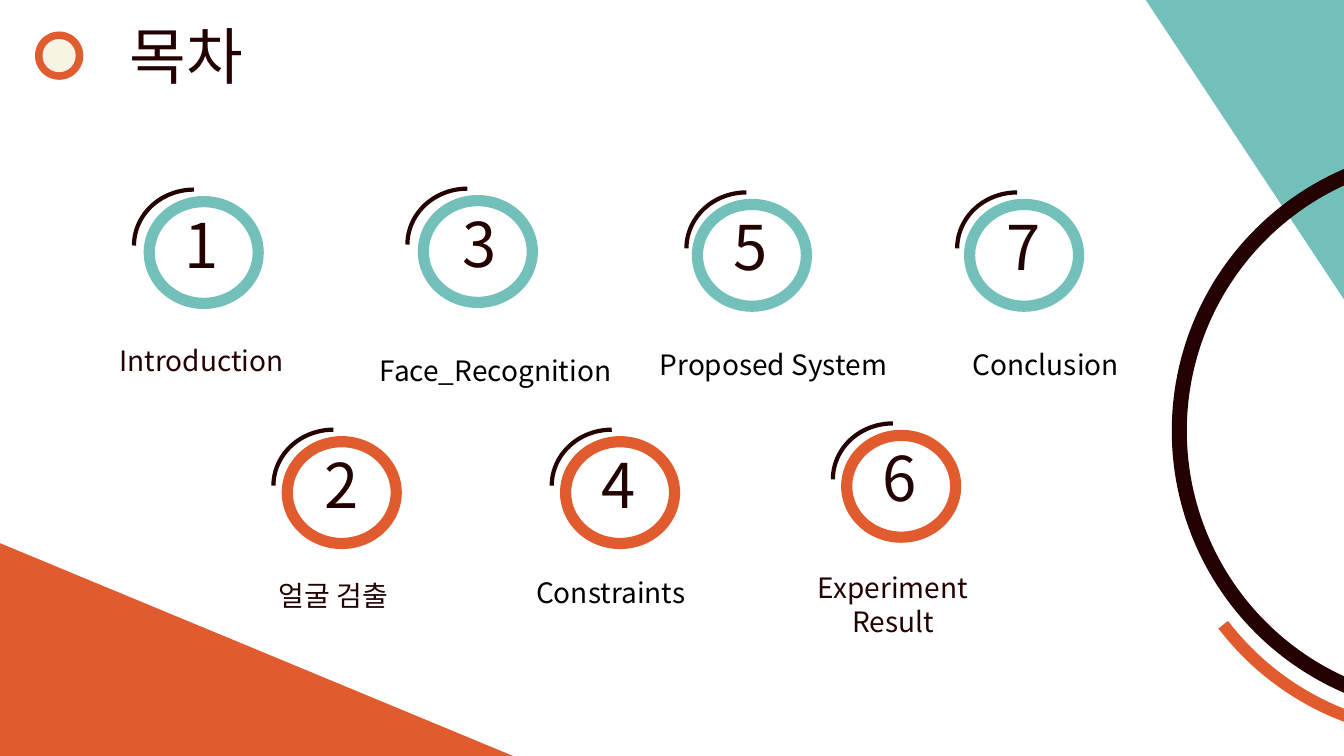
from dataclasses import dataclass

from lxml import etree
from pptx import Presentation
from pptx.dml.color import RGBColor
from pptx.enum.shapes import MSO_SHAPE
from pptx.enum.text import MSO_ANCHOR, MSO_AUTO_SIZE, PP_ALIGN
from pptx.oxml.ns import qn
from pptx.shapes.autoshape import Shape
from pptx.slide import Slide
from pptx.util import Pt

OVAL = MSO_SHAPE.OVAL
ARC = MSO_SHAPE.ARC
WEDGE = MSO_SHAPE.ISOSCELES_TRIANGLE
TOP = MSO_ANCHOR.TOP
CENTER = PP_ALIGN.CENTER
FIXED = MSO_AUTO_SIZE.NONE

ORANGE = RGBColor(0xE0, 0x5B, 0x2E)
TEAL = RGBColor(0x73, 0xC0, 0xBA)
DARK = RGBColor(0x24, 0x02, 0x02)
CREAM = RGBColor(0xF7, 0xF4, 0xE3)
BLACK = RGBColor(0, 0, 0)
FONT = "Noto Sans CJK KR"


@dataclass(frozen=True)
class Box:
    left: float
    top: float
    width: float
    height: float


@dataclass(frozen=True)
class Solid:
    kind: MSO_SHAPE
    box: Box
    fill: RGBColor
    turn: float = 0
    apex: float | None = None


@dataclass(frozen=True)
class Curve:
    box: Box
    turn: float
    start: float
    end: float
    color: RGBColor
    weight: float


@dataclass(frozen=True)
class Topic:
    left: float
    top: float
    arc: float
    shift: float
    text: str
    label: Box
    color: RGBColor


SOLIDS = [
    Solid(WEDGE, Box(0, 388, 375, 155.5), ORANGE, apex=0),
    Solid(WEDGE, Box(782, 36, 214.5, 142), TEAL, 270, 1),
    Solid(OVAL, Box(25, 22.5, 34.5, 34.5), ORANGE),
    Solid(OVAL, Box(30.4, 27.9, 23.7, 23.7), CREAM),
]
CURVES = [
    Curve(Box(842.4, 109.4, 396.7, 396.7), 266.4, 122.78, 205.19, DARK, 10.75),
    Curve(Box(833, 127.4, 396.7, 396.7), 257.8, 127.46, 146.89, ORANGE, 8.75),
]
TOPICS = [
    Topic(106.6, 144, 8, 0, "Introduction", Box(73.5, 242, 141, 32), DARK),
    Topic(205.2, 315.5, 7, 1.5, "얼굴 검출", Box(113, 409.7, 250, 32), DARK),
    Topic(302.4, 143.3, 8.5, 3, "Face_Recognition", Box(249, 249, 210, 32), BLACK),
    Topic(404, 315.5, 7, 0.7, "Constraints", Box(365, 407.5, 142.5, 32), BLACK),
    Topic(498.2, 146, 5, 1, "Proposed System", Box(456.5, 244.8, 192, 32), BLACK),
    Topic(604.8, 311, 7, 0.7, "Experiment Result", Box(566.6, 404, 142.5, 55.5), DARK),
    Topic(692.6, 146, 6, 1.5, "Conclusion", Box(651, 244.8, 192, 32), BLACK),
]


def add(slide: Slide, kind: MSO_SHAPE, box: Box) -> Shape:
    shape = slide.shapes.add_shape(
        kind, Pt(box.left), Pt(box.top), Pt(box.width), Pt(box.height)
    )
    shape.shadow.inherit = False
    return shape


def draw(slide: Slide, solid: Solid) -> None:
    shape = add(slide, solid.kind, solid.box)
    shape.rotation = solid.turn
    if solid.apex is not None:
        shape.adjustments[0] = solid.apex
    shape.fill.solid()
    shape.fill.fore_color.rgb = solid.fill
    shape.line.fill.background()


def trace(shape: Shape, color: RGBColor, weight: float) -> None:
    shape.fill.background()
    shape.line.color.rgb = color
    shape.line.width = Pt(weight)


def bend(slide: Slide, curve: Curve) -> None:
    shape = add(slide, ARC, curve.box)
    shape.rotation = curve.turn
    shape.adjustments[0] = curve.start
    shape.adjustments[1] = curve.end
    trace(shape, curve.color, curve.weight)


def write(shape: Shape, text: str, size: float, color: RGBColor) -> None:
    frame = shape.text_frame
    frame.word_wrap = True
    frame.auto_size = FIXED
    frame.vertical_anchor = TOP
    para = frame.paragraphs[0]
    para.alignment = CENTER
    run = para.add_run()
    run.text = text
    run.font.size = Pt(size)
    run.font.color.rgb = color
    run.font.name = FONT
    etree.SubElement(run.font._element, qn("a:ea"), typeface=FONT)


def note(slide: Slide, box: Box, text: str, size: float, color: RGBColor) -> None:
    shape = slide.shapes.add_textbox(
        Pt(box.left), Pt(box.top), Pt(box.width), Pt(box.height)
    )
    write(shape, text, size, color)


def place(slide: Slide, topic: Topic, count: int) -> None:
    ring = add(slide, OVAL, Box(topic.left, topic.top, 77.8, 72.7))
    trace(ring, TEAL if count % 2 else ORANGE, 8)
    box = Box(topic.left - topic.arc, topic.top - 11.5, 79.9, 85.7)
    bend(slide, Curve(box, 270, 162, 0, DARK, 3))
    box = Box(topic.left + topic.shift, topic.top, 74.2, 60)
    note(slide, box, str(count), 44, DARK)
    note(slide, topic.label, topic.text, 20, topic.color)


def main() -> None:
    deck = Presentation()
    deck.slide_width = Pt(960)
    deck.slide_height = Pt(540)
    slide = deck.slides.add_slide(deck.slide_layouts[5])
    title = slide.shapes.title
    title.left, title.top = Pt(44), Pt(9.4)
    title.width, title.height = Pt(178), Pt(60.5)
    write(title, "목차", 44, DARK)
    for solid in SOLIDS:
        draw(slide, solid)
    for curve in CURVES:
        bend(slide, curve)
    for count, topic in enumerate(TOPICS, 1):
        place(slide, topic, count)
    deck.save("out.pptx")


if __name__ == "__main__":
    main()
